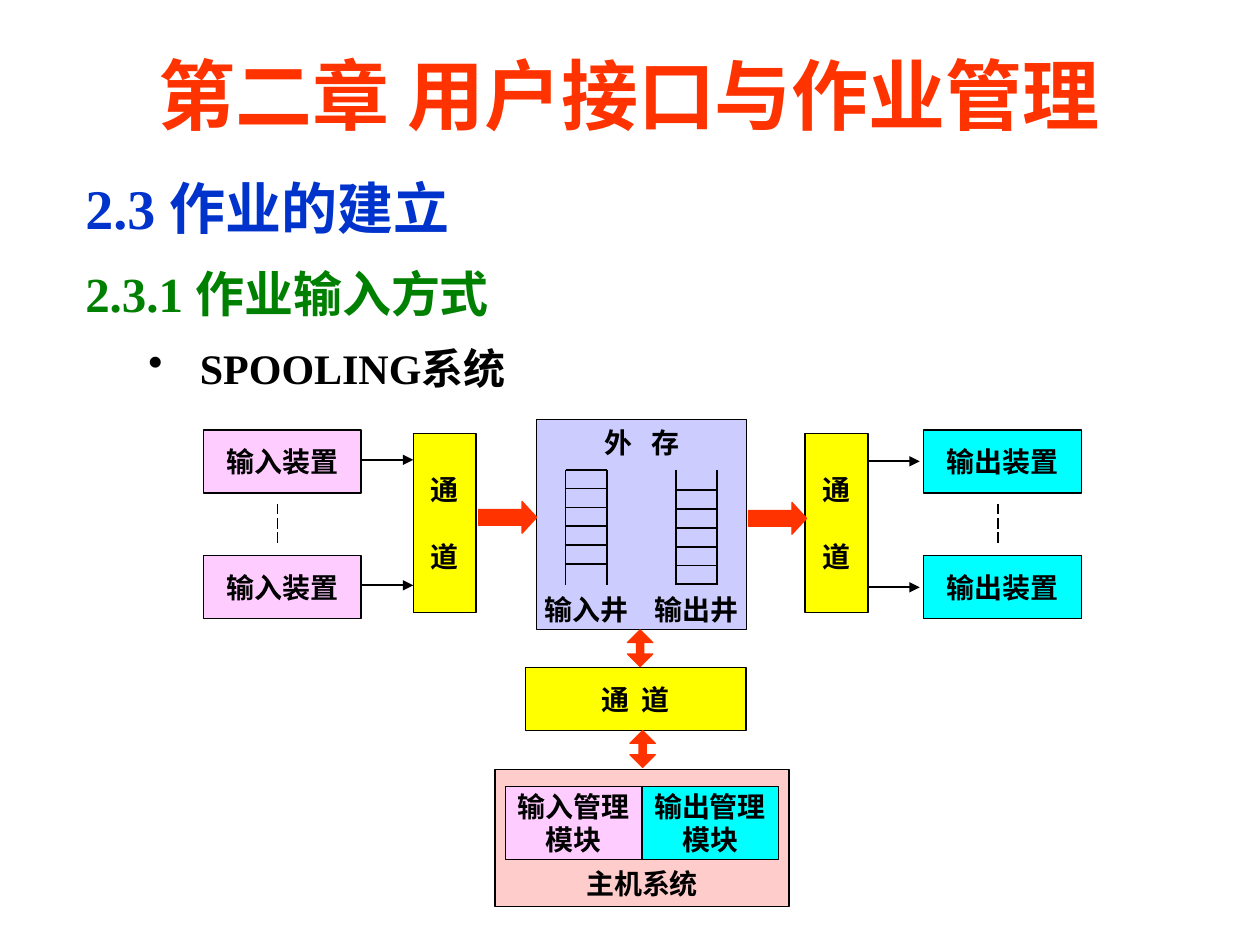
from lxml.etree import SubElement
from pptx import Presentation
from pptx.dml.color import RGBColor
from pptx.enum.dml import MSO_LINE_DASH_STYLE as Dash
from pptx.enum.shapes import MSO_CONNECTOR, MSO_SHAPE as Shape
from pptx.enum.text import MSO_ANCHOR as Anchor, MSO_AUTO_SIZE, PP_ALIGN as Align
from pptx.oxml.ns import qn
from pptx.util import Cm, Pt

FONT = "Times New Roman"
BLACK, RED, YELLOW, PINK, CYAN = "000000", "FF3300", "FFFF00", "FFCCFF", "00FFFF"

TITLE = "第二章 用户接口与作业管理"
OUTLINE = [
    {"text": "2.3 作业的建立", "size": 32, "color": "0033CC", "before": 0},
    {"text": "2.3.1 作业输入方式", "size": 28, "color": "008000", "before": 10},
    {"text": "SPOOLING系统", "size": 24, "color": BLACK, "before": 8.5, "bullet": "•"},
]

DEVICE_SIZE, DEVICE_TOPS = (3.18, 1.27), (8.67, 11.2)
SIDES = [
    {"device": "输入装置", "fill": PINK, "left": 4.1, "dash": 5.59, "channel": 8.33,
     "link": (7.28, 8.33), "link_tops": (9.27, 11.8), "flow": (9.65, 10.11)},
    {"device": "输出装置", "fill": CYAN, "left": 18.62, "dash": 20.12, "channel": 16.23,
     "link": (17.5, 18.54), "link_tops": (9.3, 11.84), "flow": (15.09, 10.13)},
]
WELLS = [("输入井", 11.4, 9.47), ("输出井", 13.62, 9.88)]
WELL_WIDTH, WELL_TOP, WELL_BOTTOM = 0.84, 9.47, 11.79
RUNGS, RUNG_STEP = 6, 0.38
MODULES = [(["输入管理", "模块"], PINK), (["输出管理", "模块"], CYAN)]
MODULE_LEFT, MODULE_TOP, MODULE_WIDTH, MODULE_HEIGHT = 10.19, 15.85, 2.75, 1.48
EXCHANGES = [(12.65, 12.7), (12.7, 14.73)]

FRAME = {"word_wrap": False, "auto_size": MSO_AUTO_SIZE.NONE, "vertical_anchor": Anchor.MIDDLE}
LABEL_FONT = {"name": FONT, "size": Pt(16), "bold": True}
MARGINS = ("margin_left", "margin_right", "margin_top", "margin_bottom")


def apply(target, values):
    for name, value in values.items():
        setattr(target, name, value)


def paint(color, value):
    color.rgb = RGBColor.from_string(value)


def write(paragraph, text, font, color=BLACK, spacing=0):
    run = paragraph.add_run()
    run.text = text
    apply(run.font, font)
    paint(run.font.color, color)
    if spacing:
        run.font._element.set("spc", str(spacing))


def fill_frame(frame, lines, gap=0, spacing=0, **changes):
    apply(frame, {**FRAME, **changes})
    for index, text in enumerate(lines):
        paragraph = frame.add_paragraph() if index else frame.paragraphs[0]
        paragraph.alignment = Align.CENTER
        paragraph.space_before = Pt(gap if index else 0)
        write(paragraph, text, LABEL_FONT, spacing=spacing)


def block(kind, place, fill, outline=BLACK, adjustments=()):
    shape = slide.shapes.add_shape(kind, *map(Cm, place))
    shape.shadow.inherit = False
    shape.fill.solid()
    paint(shape.fill.fore_color, fill)
    shape.line.width = Pt(0.75)
    paint(shape.line.color, outline)
    for index, value in enumerate(adjustments):
        shape.adjustments[index] = value
    return shape


def box(place, fill, lines, **layout):
    fill_frame(block(Shape.RECTANGLE, place, fill).text_frame, lines, **layout)


def line(x1, y1, x2, y2, width=1, dash=None, arrow=False):
    connector = slide.shapes.add_connector(MSO_CONNECTOR.STRAIGHT, *map(Cm, (x1, y1, x2, y2)))
    apply(connector.line, {"width": Pt(width), "dash_style": dash})
    paint(connector.line.color, BLACK)
    if arrow:
        SubElement(connector.line._get_or_add_ln(), qn("a:tailEnd"), type="triangle")
    SubElement(connector._element.spPr, qn("a:effectLst"))


deck = Presentation()
apply(deck, {"slide_width": Cm(25.4), "slide_height": Cm(19.05)})
slide = deck.slides.add_slide(deck.slide_layouts[5])

title = slide.shapes.title
apply(title, dict(zip(("left", "top", "width", "height"), map(Cm, (1.9, 0.71, 21.59, 2.34)))))
apply(title.text_frame, {**FRAME, "word_wrap": True})
title.text_frame.paragraphs[0].alignment = Align.CENTER
write(title.text_frame.paragraphs[0], TITLE, {**LABEL_FONT, "size": Pt(44)}, RED)

outline = slide.shapes.add_textbox(*map(Cm, (1.47, 3.23, 22.43, 4.65))).text_frame
outline.word_wrap = True
for index, item in enumerate(OUTLINE):
    paragraph = outline.add_paragraph() if index else outline.paragraphs[0]
    apply(paragraph, {"line_spacing": 1.1, "space_before": Pt(item["before"])})
    bullet = item.get("bullet")
    margin, hanging = (2.31, 1.04) if bullet else (0.97, 0.97)
    properties = paragraph._p.get_or_add_pPr()
    properties.set("marL", str(Cm(margin)))
    properties.set("indent", str(-Cm(hanging)))
    if bullet:
        SubElement(properties, qn("a:buChar"), char=bullet)
    else:
        SubElement(properties, qn("a:buNone"))
    write(paragraph, item["text"], {**LABEL_FONT, "size": Pt(item["size"])}, item["color"])

box((10.82, 8.46, 4.23, 4.23), "CCCCFF", ["外 存"], spacing=370, vertical_anchor=Anchor.TOP)
for name, left, first_rung in WELLS:
    right = left + WELL_WIDTH
    for x in (left, right):
        line(x, WELL_TOP, x, WELL_BOTTOM)
    for rung in range(RUNGS):
        y = first_rung + rung * RUNG_STEP
        line(left, y, right, y)
    label = slide.shapes.add_textbox(*map(Cm, ((left + right) / 2 - 1.1, 11.85, 2.2, 0.85)))
    fill_frame(label.text_frame, [name], **dict.fromkeys(MARGINS, 0))

for side in SIDES:
    for top in DEVICE_TOPS:
        box((side["left"], top, *DEVICE_SIZE), side["fill"], [side["device"]])
    line(side["dash"], 10.16, side["dash"], 11, 0.75, Dash.LONG_DASH)
    box((side["channel"], 8.74, 1.27, 3.61), YELLOW, ["通", "道"], gap=19)
    start, end = side["link"]
    for y in side["link_tops"]:
        line(start, y, end, y, arrow=True)
    block(Shape.RIGHT_ARROW, (*side["flow"], 1.17, 0.64), RED, RED, (0.5, 0.46))

box((10.59, 13.46, 4.45, 1.27), YELLOW, ["通 道"], spacing=180)
box((9.98, 15.52, 5.93, 2.75), "FFCCCC", ["主机系统"], vertical_anchor=Anchor.BOTTOM)
for index, (lines, fill) in enumerate(MODULES):
    left = MODULE_LEFT + index * MODULE_WIDTH
    box((left, MODULE_TOP, MODULE_WIDTH, MODULE_HEIGHT), fill, lines)
for corner in EXCHANGES:
    block(Shape.UP_DOWN_ARROW, (*corner, 0.51, 0.74), RED, RED, (0.5, 0.28))

deck.save("out.pptx")
